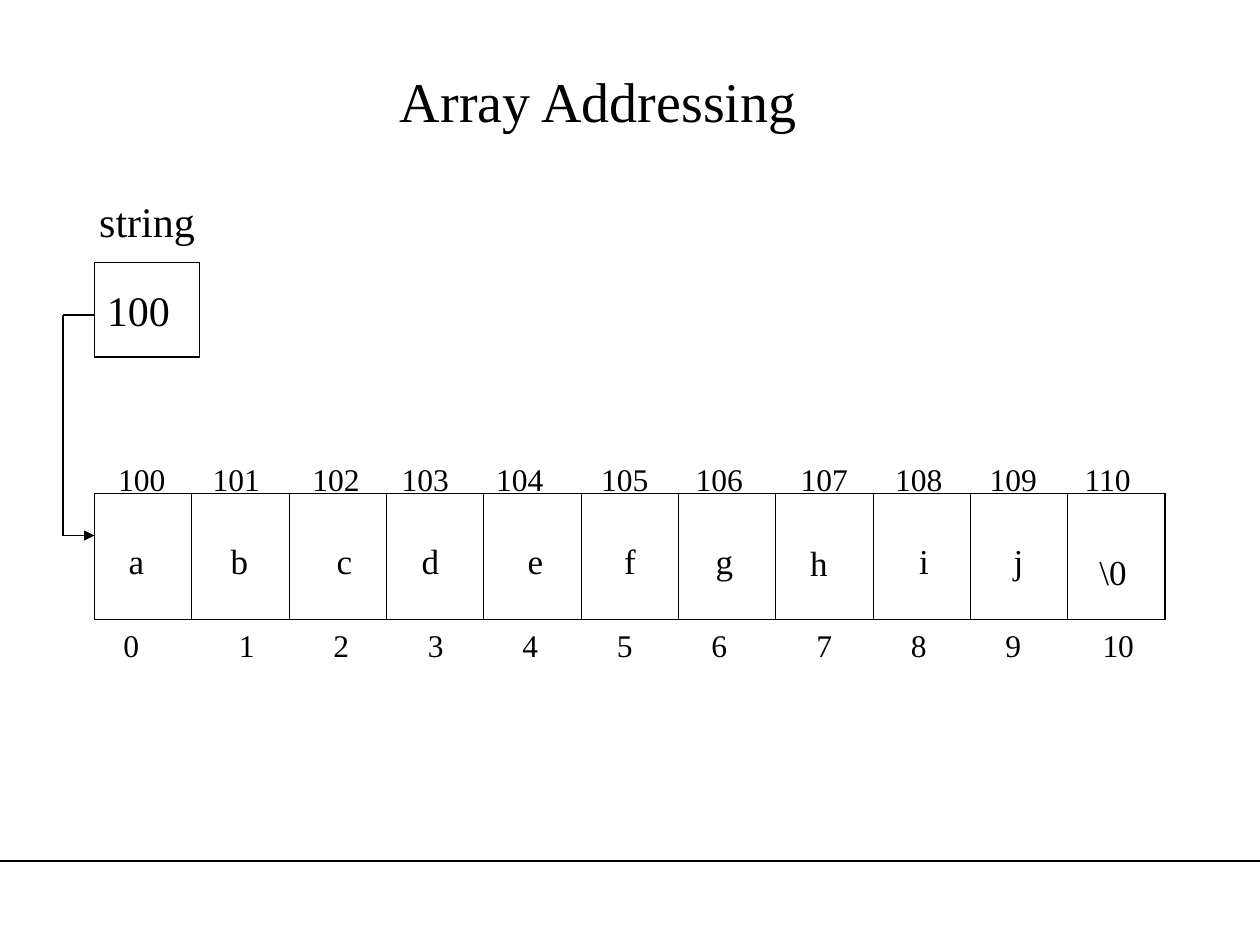
import dataclasses

import lxml.etree
import pptx
import pptx.dml.color
import pptx.enum.shapes
import pptx.enum.text
import pptx.oxml.ns
import pptx.util

EMU_PER_PX = 7620


@dataclasses.dataclass(frozen=True)
class Theme:
    ink: str = "000000"
    font: str = "Times New Roman"
    title: int = 32
    pointer: int = 24
    letter: int = 20
    number: int = 18
    line: float = 0.75
    outer_border: float = 1.08
    inner_border: float = 0.45


THEME = Theme()
INK = pptx.dml.color.RGBColor.from_string(THEME.ink)
CENTER = pptx.enum.text.PP_ALIGN.CENTER
LEFT = pptx.enum.text.PP_ALIGN.LEFT
MIDDLE = pptx.enum.text.MSO_ANCHOR.MIDDLE


def px(*lengths):
    return [pptx.util.Emu(length * EMU_PER_PX) for length in lengths]


def write(frame, wording, size, align=CENTER):
    frame.word_wrap = True
    paragraph = frame.paragraphs[0]
    paragraph.alignment = align
    run = paragraph.add_run()
    run.text = wording
    run.font.name = THEME.font
    run.font.size = pptx.util.Pt(size)
    run.font.color.rgb = INK


def add_title(slide, wording, left, top, width, height):
    title = slide.shapes.title
    title.left, title.top, title.width, title.height = px(left, top, width, height)
    title.text_frame.auto_size = pptx.enum.text.MSO_AUTO_SIZE.NONE
    title.text_frame.vertical_anchor = MIDDLE
    write(title.text_frame, wording, THEME.title)


def add_label(slide, wording, size, left, top, width, height):
    label = slide.shapes.add_textbox(*px(left, top, width, height))
    label.text_frame.auto_size = pptx.enum.text.MSO_AUTO_SIZE.SHAPE_TO_FIT_TEXT
    write(label.text_frame, wording, size)


def add_pointer_box(slide, wording, left, top, width, height):
    rectangle = pptx.enum.shapes.MSO_SHAPE.RECTANGLE
    pointer = slide.shapes.add_shape(rectangle, *px(left, top, width, height))
    pointer.shadow.inherit = False
    pointer.fill.background()
    pointer.line.color.rgb = INK
    pointer.line.width = pptx.util.Pt(THEME.line)
    pointer.text_frame.vertical_anchor = MIDDLE
    write(pointer.text_frame, wording, THEME.pointer, LEFT)


def add_line(slide, start, end, arrow=False):
    straight = pptx.enum.shapes.MSO_CONNECTOR.STRAIGHT
    line = slide.shapes.add_connector(straight, *px(*start, *end))
    line.line.color.rgb = INK
    line.line.width = pptx.util.Pt(THEME.line)
    if arrow:
        outline = line.line._get_or_add_ln()
        lxml.etree.SubElement(outline, pptx.oxml.ns.qn("a:tailEnd"), type="triangle")
    lxml.etree.SubElement(line._element.spPr, pptx.oxml.ns.qn("a:effectLst"))


def add_border(cell, side, points):
    qn = pptx.oxml.ns.qn
    properties = cell._tc.get_or_add_tcPr()
    border = lxml.etree.SubElement(properties, qn("a:" + side), w=str(pptx.util.Pt(points)))
    fill = lxml.etree.SubElement(border, qn("a:solidFill"))
    lxml.etree.SubElement(fill, qn("a:srgbClr"), val=THEME.ink)


def add_array(slide, count, left, top, width, height):
    array = slide.shapes.add_table(1, count, *px(left, top, width, height)).table
    array.first_row = array.horz_banding = False
    for index, column in enumerate(array.columns):
        column.width = px(width)[0] // count
        cell = array.cell(0, index)
        left_border = THEME.outer_border if index == 0 else THEME.inner_border
        right_border = THEME.outer_border if index == count - 1 else THEME.inner_border
        add_border(cell, "lnL", left_border)
        add_border(cell, "lnR", right_border)
        add_border(cell, "lnT", THEME.outer_border)
        add_border(cell, "lnB", THEME.outer_border)
        cell.fill.background()


def add_array_labels(slide):
    letters = ["a", "b", "c", "d", "e", "f", "g", "h", "i", "j", "\\0"]
    index_lefts = [90, 200, 290, 380, 470, 560, 650, 750, 840, 930, 1030]
    address_lefts = [100, 180, 280, 370, 460, 560, 650, 750, 840, 930, 1020]
    address_widths = [70, 90, 80] + [70] * 8
    letter_lefts = [100, 198, 298, 380, 480, 570, 660, 750, 850, 940, 1030]
    letter_tops = [508] * 7 + [510, 508, 508, 518]
    for index, left in enumerate(index_lefts):
        add_label(slide, str(index), THEME.number, left, 590, 70, 48)
    for index, (left, width) in enumerate(zip(address_lefts, address_widths)):
        add_label(slide, str(100 + index), THEME.number, left, 432, width, 48)
    for letter, left, top in zip(letters, letter_lefts, letter_tops):
        add_label(slide, letter, THEME.letter, left, top, 60, 53)


def main():
    """Build the array addressing slide and save it."""
    deck = pptx.Presentation()
    deck.slide_width, deck.slide_height = px(1200, 900)
    slide = deck.slides.add_slide(deck.slide_layouts[5])
    add_line(slide, (0, 820), (1200, 820))
    add_title(slide, "Array Addressing", 60, 30, 1020, 130)
    add_array(slide, 11, 90, 470, 1020, 120)
    add_label(slide, "string", THEME.pointer, 60, 180, 160, 60)
    add_pointer_box(slide, "100", 90, 250, 100, 90)
    add_line(slide, (60, 300), (60, 510))
    add_line(slide, (60, 300), (90, 300))
    add_line(slide, (60, 510), (90, 510), arrow=True)
    add_array_labels(slide)
    deck.save("out.pptx")


if __name__ == "__main__":
    main()
